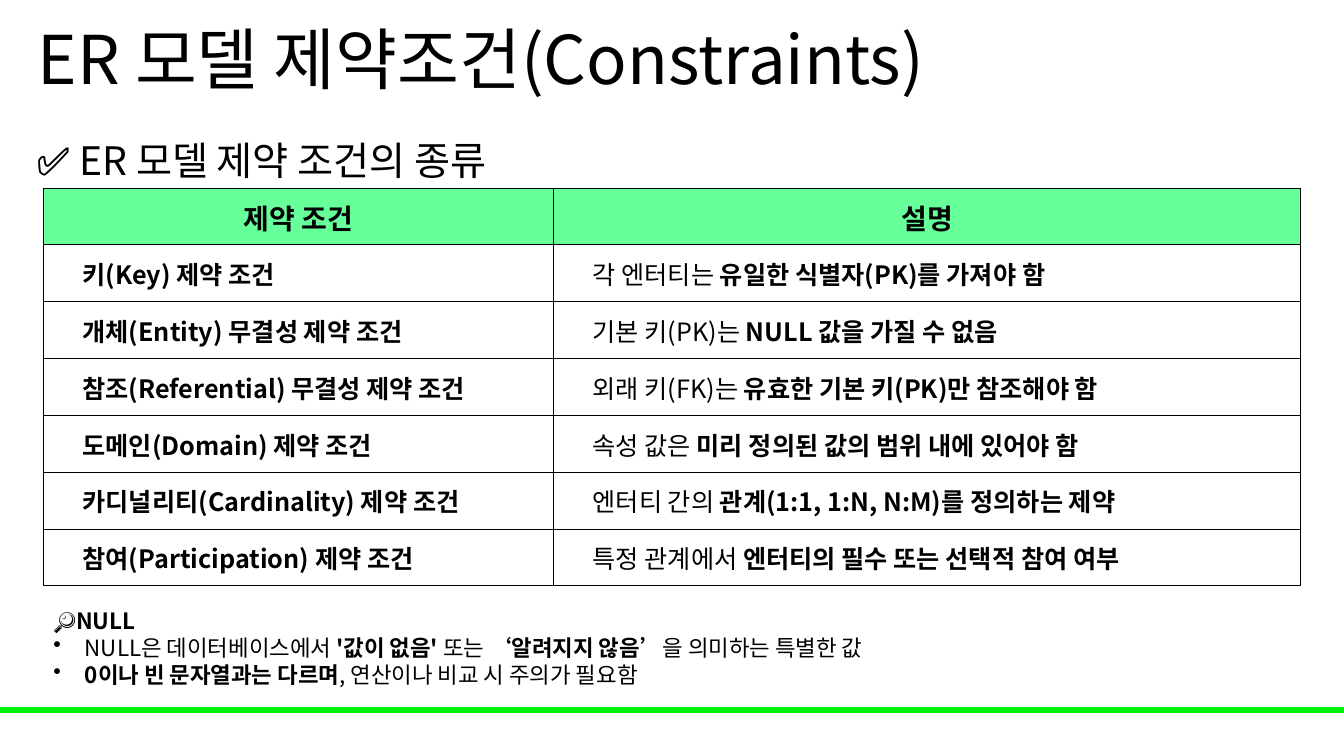
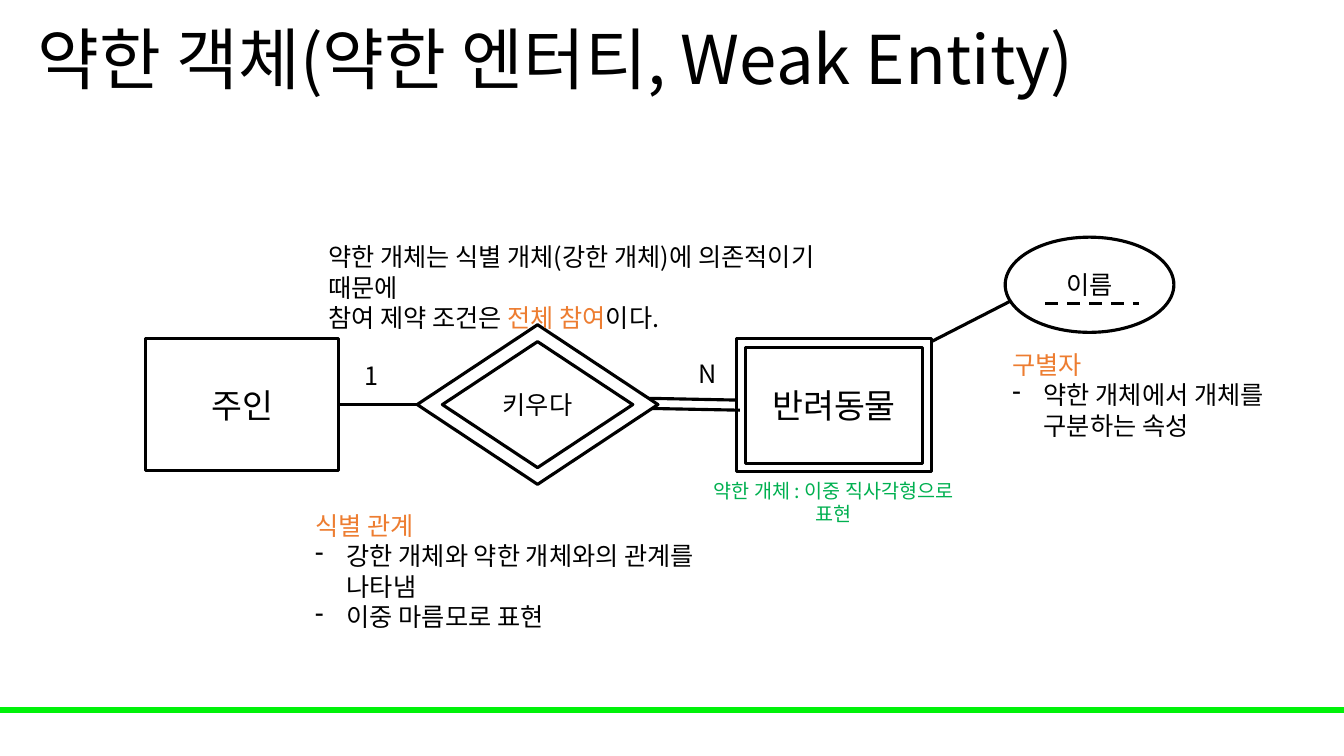
from typing import NamedTuple

from lxml import etree
from pptx import Presentation
from pptx.dml.color import RGBColor
from pptx.enum.dml import MSO_LINE
from pptx.enum.shapes import MSO_CONNECTOR, MSO_SHAPE
from pptx.enum.text import MSO_ANCHOR, PP_ALIGN
from pptx.oxml.ns import qn
from pptx.util import Pt

RECT, OVAL, DIAMOND = MSO_SHAPE.RECTANGLE, MSO_SHAPE.OVAL, MSO_SHAPE.DIAMOND
LEFT, CENTER = PP_ALIGN.LEFT, PP_ALIGN.CENTER
TOP, MIDDLE = MSO_ANCHOR.TOP, MSO_ANCHOR.MIDDLE
STRAIGHT, DASH = MSO_CONNECTOR.STRAIGHT, MSO_LINE.DASH

FONT = "Noto Sans CJK KR"
COLORS = {
    "black": "000000",
    "white": "FFFFFF",
    "band": "00F209",
    "head": "66FF99",
    "orange": "ED7D31",
    "green": "00B050",
}
WIDTH, HEIGHT = 960, 540
STROKE = 2.25
INDENT = 22.5


class Run(NamedTuple):
    text: str
    bold: bool = False
    color: str = "black"


class Para(NamedTuple):
    runs: tuple[Run, ...]
    bullet: str = ""


class Box(NamedTuple):
    x: float
    y: float
    w: float
    h: float

    def inset(self, dx: float, dy: float) -> "Box":
        return Box(self.x + dx, self.y + dy, self.w - 2 * dx, self.h - 2 * dy)

    def points(self) -> list:
        return [Pt(v) for v in self]


class Note(NamedTuple):
    box: Box
    paras: list[Para]
    size: float = 18
    align: PP_ALIGN = LEFT


class Link(NamedTuple):
    x1: float
    y1: float
    x2: float
    y2: float
    dash: bool = False


def rgb(name: str) -> RGBColor:
    return RGBColor.from_string(COLORS[name])


def para(text: str, color: str = "black", bold: bool = False, bullet: str = "") -> Para:
    return Para((Run(text, bold, color),), bullet)


# Text

def write(frame, paras: list[Para], size: float, align=LEFT, spacing: float = 1) -> None:
    for i, item in enumerate(paras):
        p = frame.paragraphs[0] if i == 0 else frame.add_paragraph()
        p.alignment = align
        if spacing != 1:
            p.line_spacing = spacing
        props = p._p.get_or_add_pPr()
        if item.bullet:
            props.set("marL", str(Pt(INDENT)))
            props.set("indent", str(-Pt(INDENT)))
            etree.SubElement(props, qn("a:buChar"), char=item.bullet)
        p.font.size = Pt(size)
        runs = []
        for part in item.runs:
            run = p.add_run()
            run.text = part.text
            runs.append(run)
        # Shared traits go on the paragraph, mixed ones on the runs
        same_bold = len({part.bold for part in item.runs}) == 1
        same_color = len({part.color for part in item.runs}) == 1
        if same_bold:
            p.font.bold = item.runs[0].bold
        if same_color:
            p.font.color.rgb = rgb(item.runs[0].color)
        for run, part in zip(runs, item.runs):
            if not same_bold:
                run.font.bold = part.bold
            if not same_color:
                run.font.color.rgb = rgb(part.color)
        p.font.name = FONT
        etree.SubElement(props.find(qn("a:defRPr")), qn("a:ea"), typeface=FONT)


def add_note(slide, note: Note, anchor=TOP, spacing: float = 1) -> None:
    frame = slide.shapes.add_textbox(*note.box.points()).text_frame
    frame.word_wrap = True
    frame.vertical_anchor = anchor
    write(frame, note.paras, note.size, note.align, spacing)


# Shapes and lines

def add_form(shapes, kind, box: Box, text: str = "", size: float = 18,
             fill: str = "white", line: str = "black", weight: float = STROKE):
    form = shapes.add_shape(kind, *box.points())
    form.shadow.inherit = False
    form.fill.solid()
    form.fill.fore_color.rgb = rgb(fill)
    form.line.color.rgb = rgb(line)
    form.line.width = Pt(weight)
    if text:
        form.text_frame.vertical_anchor = MIDDLE
        write(form.text_frame, [para(text)], size, CENTER)
    return form


def add_double(slide, kind, box: Box, gap: tuple[float, float], text: str, size: float):
    shapes = slide.shapes.add_group_shape().shapes
    outer = add_form(shapes, kind, box)
    add_form(shapes, kind, box.inset(*gap), text, size)
    return outer


def add_link(slide, link: Link):
    ends = [Pt(v) for v in link[:4]]
    line = slide.shapes.add_connector(STRAIGHT, *ends)
    line.line.color.rgb = rgb("black")
    line.line.width = Pt(STROKE)
    if link.dash:
        line.line.dash_style = DASH
    etree.SubElement(line._element.spPr, qn("a:effectLst"))
    return line


# Table

def add_edges(cell) -> None:
    props = cell._tc.get_or_add_tcPr()
    for i, side in enumerate(("lnL", "lnR", "lnT", "lnB")):
        edge = etree.Element(qn(f"a:{side}"), w=str(Pt(0.5)))
        fill = etree.SubElement(edge, qn("a:solidFill"))
        etree.SubElement(fill, qn("a:srgbClr"), val=COLORS["black"])
        props.insert(i, edge)


def add_grid(slide, x: float, y: float, cols: list[float], row: float,
             rows: list[list[Para]]) -> None:
    box = Box(x, y, sum(cols), row * len(rows))
    table = slide.shapes.add_table(len(rows), len(cols), *box.points()).table
    table.horz_banding = False
    for col, width in zip(table.columns, cols):
        col.width = Pt(width)
    for i, line in enumerate(rows):
        table.rows[i].height = Pt(row)
        head = i == 0
        for j, item in enumerate(line):
            cell = table.cell(i, j)
            cell.fill.solid()
            cell.fill.fore_color.rgb = rgb("head" if head else "white")
            cell.vertical_anchor = MIDDLE
            cell.margin_left = Pt(0.7 if head else 28)
            cell.margin_right = cell.margin_top = Pt(0.7)
            cell.margin_bottom = Pt(0)
            write(cell.text_frame, [item], 20 if head else 18, CENTER if head else LEFT)
            add_edges(cell)


# Shared frame

def add_page(deck, title: str):
    slide = deck.slides.add_slide(deck.slide_layouts[6])
    add_form(slide.shapes, RECT, Box(0, 505.4, WIDTH, 3.6),
             fill="band", line="band", weight=1)
    add_note(slide, Note(Box(20, 0, 828, 90), [para(title)], 48), MIDDLE, 0.9)
    return slide


# Slide 1: constraint table

RULES = [
    ("키(Key) 제약 조건", "각 엔터티는 ", "유일한 식별자(PK)를 가져야 함"),
    ("개체(Entity) 무결성 제약 조건", "기본 키(PK)는 ", "NULL 값을 가질 수 없음"),
    ("참조(Referential) 무결성 제약 조건", "외래 키(FK)는 ", "유효한 기본 키(PK)만 참조해야 함"),
    ("도메인(Domain) 제약 조건", "속성 값은 ", "미리 정의된 값의 범위 내에 있어야 함"),
    ("카디널리티(Cardinality) 제약 조건", "엔터티 간의 ", "관계(1:1, 1:N, N:M)를 정의하는 제약"),
    ("참여(Participation) 제약 조건", "특정 관계에서 ", "엔터티의 필수 또는 선택적 참여 여부"),
]
NULLS = [
    Para((Run("🔎"), Run("NULL", True))),
    Para((Run("NULL은 데이터베이스에서 "), Run("'값이 없음' ", True), Run("또는 "),
          Run("‘알려지지 않음’", True), Run("을 의미하는 특별한 값")), "•"),
    Para((Run("0이나 빈 문자열과는 다르며", True),
          Run(", 연산이나 비교 시 주의가 필요함")), "•"),
]


def build_rules(deck) -> None:
    slide = add_page(deck, "ER 모델 제약조건(Constraints)")
    topic = [para("✅ ER 모델 제약 조건의 종류")]
    add_note(slide, Note(Box(19, 77, 922, 66), topic, 28), spacing=1.5)
    rows = [[para("제약 조건", bold=True), para("설명", bold=True)]]
    for name, lead, core in RULES:
        rows.append([para(name, bold=True), Para((Run(lead), Run(core, True)))])
    add_grid(slide, 31, 134.2, [364.4, 533.6], 40.6, rows)
    add_note(slide, Note(Box(31, 430, 639, 66), NULLS, 16))


# Slide 2: weak entity diagram

NOTES = [
    Note(Box(218, 361, 331, 73), [
        para("식별 관계", "orange"),
        para("강한 개체와 약한 개체와의 관계를 나타냄", bullet="-"),
        para("이중 마름모로 표현", bullet="-")]),
    Note(Box(716, 246, 199, 73), [
        para("구별자", "orange"),
        para("약한 개체에서 개체를 구분하는 속성", bullet="-")]),
    Note(Box(253, 253.5, 39, 29), [para("1")]),
    Note(Box(492, 252.5, 39, 29), [para("N")]),
    Note(Box(227.5, 169, 399, 51), [
        para("약한 개체는 식별 개체(강한 개체)에 의존적이기 때문에"),
        Para((Run("참여 제약 조건은 "), Run("전체 참여", color="orange"), Run("이다.")))]),
    Note(Box(493, 338.5, 205, 24.5),
         [para("약한 개체 : 이중 직사각형으로 표현", "green")], 14, CENTER),
]


def build_weak(deck) -> None:
    slide = add_page(deck, "약한 객체(약한 엔터티, Weak Entity)")
    add_link(slide, Link(456.5, 284.4, 527, 285.8))
    add_link(slide, Link(659.5, 247, 727, 212.4))
    add_form(slide.shapes, OVAL, Box(718, 169.4, 120.5, 68), "이름")
    add_link(slide, Link(746.6, 216.7, 813.6, 216.7, True))
    owner = add_form(slide.shapes, RECT, Box(104, 241.8, 138, 94.4), "주인", 24)
    add_double(slide, RECT, Box(526.3, 242, 139, 95), (6, 6), "반려동물", 24)
    add_link(slide, Link(457.2, 291.6, 528.5, 293))
    bond = add_double(slide, DIAMOND, Box(298, 232, 172, 114), (18, 12), "키우다", 18)
    tie = add_link(slide, Link(242, 289, 298, 289))
    tie.begin_connect(owner, 3)
    tie.end_connect(bond, 1)
    for note in NOTES:
        add_note(slide, note)


def main() -> None:
    deck = Presentation()
    deck.slide_width, deck.slide_height = Pt(WIDTH), Pt(HEIGHT)
    build_rules(deck)
    build_weak(deck)
    deck.save("out.pptx")


if __name__ == "__main__":
    main()
